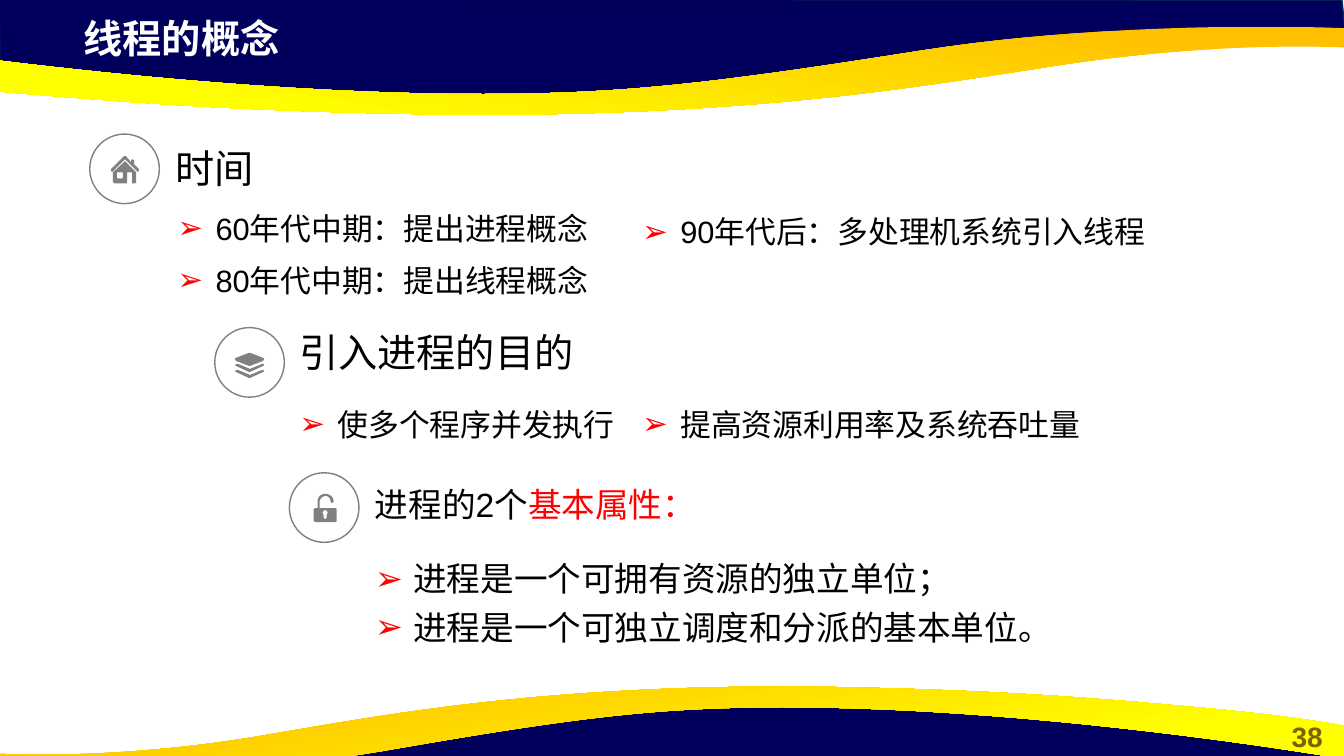
from lxml import etree
from pptx import Presentation
from pptx.dml.color import RGBColor
from pptx.enum.shapes import MSO_SHAPE
from pptx.enum.text import MSO_ANCHOR, MSO_AUTO_SIZE, PP_ALIGN
from pptx.oxml.ns import qn
from pptx.util import Inches, Pt

OVAL = MSO_SHAPE.OVAL
TOP, MIDDLE = MSO_ANCHOR.TOP, MSO_ANCHOR.MIDDLE
LEFT, CENTER = PP_ALIGN.LEFT, PP_ALIGN.CENTER
NO_AUTOFIT = MSO_AUTO_SIZE.NONE

FONT = "Arial"
NAVY, NAVY_EDGE = "00005C", "05304F"
GOLD, YELLOW = "FFC000", "FFFF00"
BLACK, WHITE, RED, GRAY, OLIVE = "000000", "FFFFFF", "FF0000", "808080", "806000"
CIRCLE_SIZE = 0.69
CURVE_STEPS = 24

NAVY_WAVE = [(-0.01, -0.01), (0, 0.7), (2.93, 1.02), (5.59, 1), (7.95, 0.88),
             (10.16, 0.5), (12.38, 0.33), (13.35, 0.38), (13.31, 0)]
GOLD_WAVE = [(4.83, 1.14), (4.43, 1.14, 4.01, 1.13, 3.56, 1.12),
             (2.06, 1.08, 1.1, 1, 0.36, 0.94), (-0.88, 0.84, -1.3, 0.75, -1.33, 0.75),
             (-1.33, 0.42), (-1.33, 0.42, 2.18, 0.98, 5.17, 0.93),
             (6.26, 0.91, 7.08, 0.83, 9.15, 0.5), (11.21, 0.18, 13.33, 0.28, 13.33, 0.28),
             (13.33, 0.47), (13.3, 0.47), (13.05, 0.46, 11.95, 0.43, 10.55, 0.64),
             (9.18, 0.85, 7.62, 1.13, 4.83, 1.14)]

HOUSE = [
    [(.21, .35), (.34, .22), (.36, .22), (.41, .28), (.41, .26), (.42, .25), (.44, .26),
     (.44, .3), (.49, .35), (.48, .38), (.47, .37), (.35, .25), (.23, .37), (.22, .38), (.21, .36)],
    [(.46, .38), (.46, .48), (.45, .49), (.42, .49), (.42, .38), (.37, .38), (.37, .49),
     (.25, .49), (.23, .48), (.23, .38), (.35, .27)],
    [(.33, .38), (.27, .38), (.27, .44), (.33, .44)],
]
CHEVRON = [(.48, .38), (.35, .44), (.34, .44), (.21, .38), (.2, .37), (.22, .36),
           (.23, .36), (.35, .41), (.47, .36), (.48, .36), (.49, .37)]
LAYERS = [
    [(.48, .33), (.35, .38), (.34, .38), (.21, .33), (.2, .31), (.21, .3),
     (.34, .25), (.35, .25), (.48, .3), (.49, .31)],
    CHEVRON,
    [(x, y + .06) for x, y in CHEVRON],
]
PADLOCK = [
    [(.46, .49), (.26, .49), (.24, .48), (.24, .36), (.26, .35), (.28, .35), (.28, .29),
     (.28, .24, .31, .21, .36, .21), (.4, .21, .44, .24, .44, .29), (.42, .3), (.41, .29),
     (.41, .26, .39, .23, .36, .23), (.33, .23, .3, .26, .3, .29), (.3, .35), (.46, .35),
     (.47, .36), (.47, .48)],
    [(.36, .37), (.34, .37, .33, .39, .33, .4), (.34, .42), (.34, .45), (.36, .46),
     (.37, .45), (.37, .42), (.38, .4), (.38, .39, .37, .37, .36, .37)],
]

SECTIONS = [
    dict(left=0.89, top=1.33, icon=HOUSE, heading=[("时间", BLACK)], heading_box=(0.75, 0.12),
         heading_size=28, size=22, lists=[
             (0.77, 0.63, 4.61, ["60年代中期：提出进程概念"]),
             (0.77, 1.14, 4.61, ["80年代中期：提出线程概念"]),
             (5.38, 0.66, 5.32, ["90年代后：多处理机系统引入线程"])]),
    dict(left=2.13, top=3.25, icon=LAYERS, heading=[("引入进程的目的", BLACK)],
         heading_box=(0.74, 0.02), heading_size=28, size=22, lists=[
             (0.74, 0.65, 3.7, ["使多个程序并发执行"]),
             (4.14, 0.65, 4.97, ["提高资源利用率及系统吞吐量"])]),
    dict(left=2.87, top=4.69, icon=PADLOCK,
         heading=[("进程的2个", BLACK), ("基本属性：", RED)],
         heading_box=(0.75, 0.09), heading_size=24, size=24, lists=[
             (0.75, 0.72, 7.33, ["进程是一个可拥有资源的独立单位；",
                                 "进程是一个可独立调度和分派的基本单位。"])]),
]


def color(value):
    return RGBColor.from_string(value)


def trace(segments):
    points = [segments[0]]
    for segment in segments[1:]:
        if len(segment) == 2:
            points.append(segment)
            continue
        controls = [points[-1], segment[:2], segment[2:4], segment[4:]]
        for step in range(1, CURVE_STEPS + 1):
            t = step / CURVE_STEPS
            weights = [(1 - t) ** 3, 3 * t * (1 - t) ** 2, 3 * t * t * (1 - t), t ** 3]
            points.append(tuple(sum(w * c[axis] for w, c in zip(weights, controls))
                                for axis in (0, 1)))
    return points


def add_outline(slide, contours):
    contours = [[(Inches(x), Inches(y)) for x, y in contour] for contour in contours]
    builder = slide.shapes.build_freeform(*contours[0][0])
    for index, contour in enumerate(contours):
        if index:
            builder.move_to(*contour[0])
        builder.add_line_segments(contour[1:], close=True)
    shape = builder.convert_to_shape()
    shape.shadow.inherit = False
    shape.line.fill.background()
    return shape


def add_wave(slide, navy_points, gold_points, angle):
    navy = add_outline(slide, [navy_points])
    navy.fill.solid()
    navy.fill.fore_color.rgb = color(NAVY)
    navy.line.color.rgb = color(NAVY_EDGE)
    navy.line.width = Pt(1)
    gold = add_outline(slide, [gold_points])
    gold.fill.gradient()
    gold.fill.gradient_angle = angle
    for stop, position, shade in zip(gold.fill.gradient_stops, (0.11, 0.78), (GOLD, YELLOW)):
        stop.position = position
        stop.color.rgb = color(shade)


def add_waves(slide):
    navy, gold = trace(NAVY_WAVE), trace(GOLD_WAVE)
    add_wave(slide, navy, gold, 260)
    add_wave(slide, [(13.32 - x, 7.93 - y) for x, y in navy],
             [(13.33 - (x + 1.33) / 1.1, 7.95 - y) for x, y in gold], 280)


def style(para, size, shade, bold=False):
    for span in para.runs:
        span.font.name = FONT
        span.font.size = Pt(size)
        span.font.bold = bold
        span.font.color.rgb = color(shade)


def add_text(slide, left, top, width, height, lines):
    box = slide.shapes.add_textbox(Inches(left), Inches(top), Inches(width), Inches(height))
    frame = box.text_frame
    frame.word_wrap = True
    frame.text = "\n".join(lines)
    return frame


def add_bullet(para):
    props = para._p.get_or_add_pPr()
    props.set("marL", str(Inches(0.38)))
    props.set("indent", str(Inches(-0.38)))
    etree.SubElement(etree.SubElement(props, qn("a:buClr")), qn("a:srgbClr")).set("val", RED)
    etree.SubElement(props, qn("a:buFont")).set("typeface", FONT)
    etree.SubElement(props, qn("a:buChar")).set("char", "➢")


def add_icon(slide, left, top, contours):
    circle = slide.shapes.add_shape(OVAL, Inches(left), Inches(top),
                                    Inches(CIRCLE_SIZE), Inches(CIRCLE_SIZE))
    circle.shadow.inherit = False
    circle.fill.background()
    circle.line.color.rgb = color(GRAY)
    circle.line.width = Pt(1)
    icon = add_outline(slide, [[(left + x, top + y) for x, y in trace(contour)]
                               for contour in contours])
    icon.fill.solid()
    icon.fill.fore_color.rgb = color(GRAY)


def add_section(slide, left, top, icon, heading, heading_box, heading_size, size, lists):
    add_icon(slide, left, top, icon)
    frame = add_text(slide, left + heading_box[0], top + heading_box[1], 4.04, 0.44, [""])
    frame.vertical_anchor = MIDDLE
    para = frame.paragraphs[0]
    for text, shade in heading:
        span = para.add_run()
        span.text = text
        span.font.name = FONT
        span.font.size = Pt(heading_size)
        span.font.color.rgb = color(shade)
    for x, y, width, lines in lists:
        frame = add_text(slide, left + x, top + y, width, 0.57 * len(lines), lines)
        for para in frame.paragraphs:
            add_bullet(para)
            para.line_spacing = 1.2
            style(para, size, BLACK)


def add_title(slide, left, top, width, height):
    title = slide.shapes.title
    title._element.getparent().append(title._element)
    title.left, title.top = Inches(left), Inches(top)
    title.width, title.height = Inches(width), Inches(height)
    frame = title.text_frame
    frame.text = "线程的概念"
    frame.auto_size = NO_AUTOFIT
    frame.vertical_anchor = TOP
    frame.paragraphs[0].alignment = LEFT
    style(frame.paragraphs[0], 28, WHITE, True)


def add_page_number(slide, left, top, width, height):
    para = add_text(slide, left, top, width, height, ["38"]).paragraphs[0]
    para.alignment = CENTER
    style(para, 20, OLIVE, True)


def main():
    deck = Presentation()
    deck.slide_width, deck.slide_height = Inches(13.33), Inches(7.5)
    page = deck.slides.add_slide(deck.slide_layouts[5])
    add_waves(page)
    add_page_number(page, 12.6, 7.09, 0.73, 0.44)
    add_title(page, 0.73, 0.09, 7.68, 0.57)
    for section in SECTIONS:
        add_section(page, **section)
    deck.save("out.pptx")


if __name__ == "__main__":
    main()
